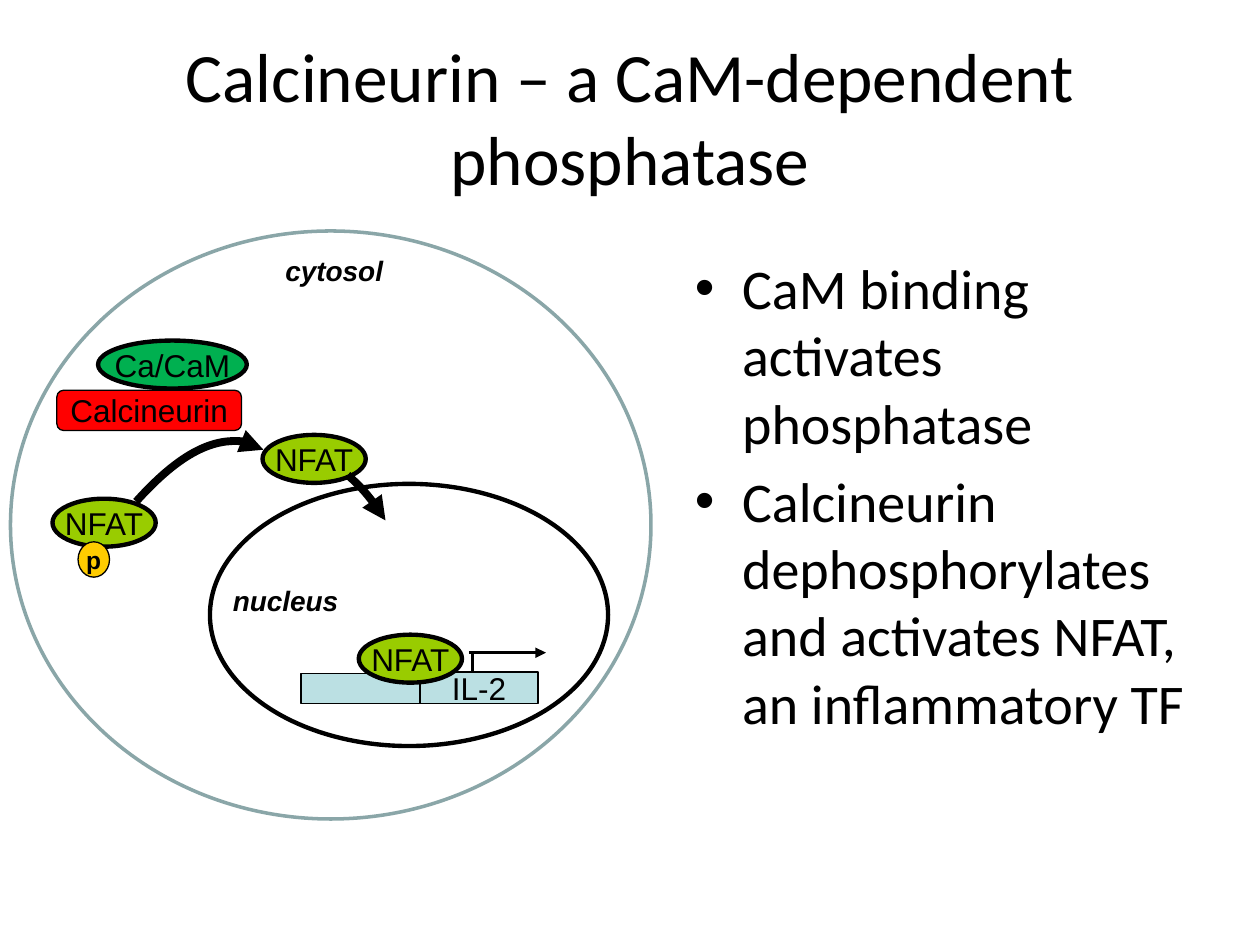
from lxml import etree
from pptx import Presentation
from pptx import util as u
from pptx.dml.color import RGBColor
from pptx.enum import shapes, text
from pptx.oxml import ns

COLOURS = {
    "ink": "000000",
    "membrane": "8AA6A8",
    "calcineurin": "FF0000",
    "cam": "00B050",
    "nfat": "99CC00",
    "phosphate": "FFCC00",
    "gene": "BBE0E3",
}
OVAL = shapes.MSO_SHAPE.OVAL
RECTANGLE = shapes.MSO_SHAPE.RECTANGLE
ROUNDED = shapes.MSO_SHAPE.ROUNDED_RECTANGLE
CENTRE = text.PP_ALIGN.CENTER


def colour(name):
    return RGBColor.from_string(COLOURS[name])


def points(*values):
    return [u.Pt(value) for value in values]


def add_span(para, words, size, face, bold=False, italic=False):
    span = para.add_run()
    span.text = words
    span.font.size = u.Pt(size)
    span.font.name = face
    span.font.bold = bold
    span.font.italic = italic
    span.font.color.rgb = colour("ink")


def add_box(page, place):
    frame = page.shapes.add_textbox(*points(*place)).text_frame
    frame.word_wrap = True
    return frame


def add_title(page, words, place):
    frame = add_box(page, place)
    frame.vertical_anchor = text.MSO_ANCHOR.MIDDLE
    para = frame.paragraphs[0]
    para.alignment = CENTRE
    add_span(para, words, 39.6, "Calibri")


def add_bullets(page, items, place):
    frame = add_box(page, place)
    for index, words in enumerate(items):
        para = frame.add_paragraph() if index else frame.paragraphs[0]
        props = para._p.get_or_add_pPr()
        props.set("marL", str(u.Pt(27)))
        props.set("indent", str(u.Pt(-27)))
        etree.SubElement(props, ns.qn("a:buFont"), typeface="Arial")
        etree.SubElement(props, ns.qn("a:buChar"), char="•")
        if index:
            para.space_before = u.Pt(6.4)
        add_span(para, words, 32, "Calibri")


def add_region_label(page, words, place):
    para = add_box(page, place).paragraphs[0]
    add_span(para, words, 16, "Arial", bold=True, italic=True)


def add_figure(page, kind, place, fill=None, line="ink", width=2.5,
               words="", size=18, bold=False):
    figure = page.shapes.add_shape(kind, *points(*place))
    figure.shadow.inherit = False
    if fill:
        figure.fill.solid()
        figure.fill.fore_color.rgb = colour(fill)
    else:
        figure.fill.background()
    figure.line.color.rgb = colour(line)
    figure.line.width = u.Pt(width)
    if words:
        frame = figure.text_frame
        frame.word_wrap = False
        frame.vertical_anchor = text.MSO_ANCHOR.MIDDLE
        para = frame.paragraphs[0]
        para.alignment = CENTRE
        add_span(para, words, size, "Arial", bold)


def add_nfat(page, left, top):
    add_figure(page, OVAL, (left, top, 59, 27.4), "nfat", words="NFAT")


def style_stroke(stroke, width, arrow):
    stroke.line.color.rgb = colour("ink")
    stroke.line.width = u.Pt(width)
    if arrow:
        etree.SubElement(stroke.line._get_or_add_ln(), ns.qn("a:tailEnd"), type="triangle")


def add_line(page, start, end, arrow=False):
    line = page.shapes.add_connector(shapes.MSO_CONNECTOR.STRAIGHT, *points(*start, *end))
    style_stroke(line, 2, arrow)
    etree.SubElement(line._element.spPr, ns.qn("a:effectLst"))


def add_curved_arrow(page, start, *controls_and_end):
    """Draw a cubic curve by turning three line segments into its control points."""
    builder = page.shapes.build_freeform(*points(*start))
    builder.add_line_segments([points(*spot) for spot in controls_and_end], close=False)
    curve = builder.convert_to_shape()
    curve.shadow.inherit = False
    curve.fill.background()
    style_stroke(curve, 4.5, True)
    segments = list(curve._element.iter(ns.qn("a:lnTo")))
    bezier = etree.SubElement(segments[0].getparent(), ns.qn("a:cubicBezTo"))
    for segment in segments:
        bezier.append(segment[0])
        segment.getparent().remove(segment)


def main():
    deck = Presentation()
    deck.slide_width, deck.slide_height = points(720, 540)
    page = deck.slides.add_slide(deck.slide_layouts[6])

    add_title(page, "Calcineurin – a CaM-dependent phosphatase", (36, 21.6, 648, 90))
    add_bullets(page, [
        "CaM binding activates phosphatase",
        "Calcineurin dephosphorylates and activates NFAT, an inflammatory TF",
    ], (390, 141.4, 318, 356))

    add_figure(page, OVAL, (120, 276.5, 227.5, 149.8))
    add_region_label(page, "nucleus", (126, 330, 78, 26.6))
    add_figure(page, ROUNDED, (32.5, 223, 105.5, 23), "calcineurin",
               width=0.75, words="Calcineurin")
    add_nfat(page, 30, 285)
    add_curved_arrow(page, (77.8, 286.6), (103.7, 257.8), (135.4, 244), (150.5, 257))
    add_figure(page, OVAL, (44.6, 309.6, 18, 20.2), "phosphate",
               width=0.75, words="p", size=14, bold=True)
    add_nfat(page, 150, 248.5)
    add_curved_arrow(page, (198.7, 271.4), (207.4, 279.4), (215.3, 288.7), (220.3, 297.4))

    add_figure(page, RECTANGLE, (240, 384, 67.5, 18), "gene", width=0.75, words="IL-2")
    add_figure(page, RECTANGLE, (172, 384.7, 68, 17.3), "gene", width=0.75)
    add_line(page, (270, 384), (270, 373))
    add_line(page, (268, 373), (312, 373), arrow=True)
    add_nfat(page, 205, 362.7)

    add_figure(page, OVAL, (6, 132, 366, 336), line="membrane", width=2)
    add_region_label(page, "cytosol", (156, 141.4, 78, 26.6))
    add_figure(page, OVAL, (56, 194.6, 85, 27.4), "cam", words="Ca/CaM")
    deck.save("out.pptx")


if __name__ == "__main__":
    main()
